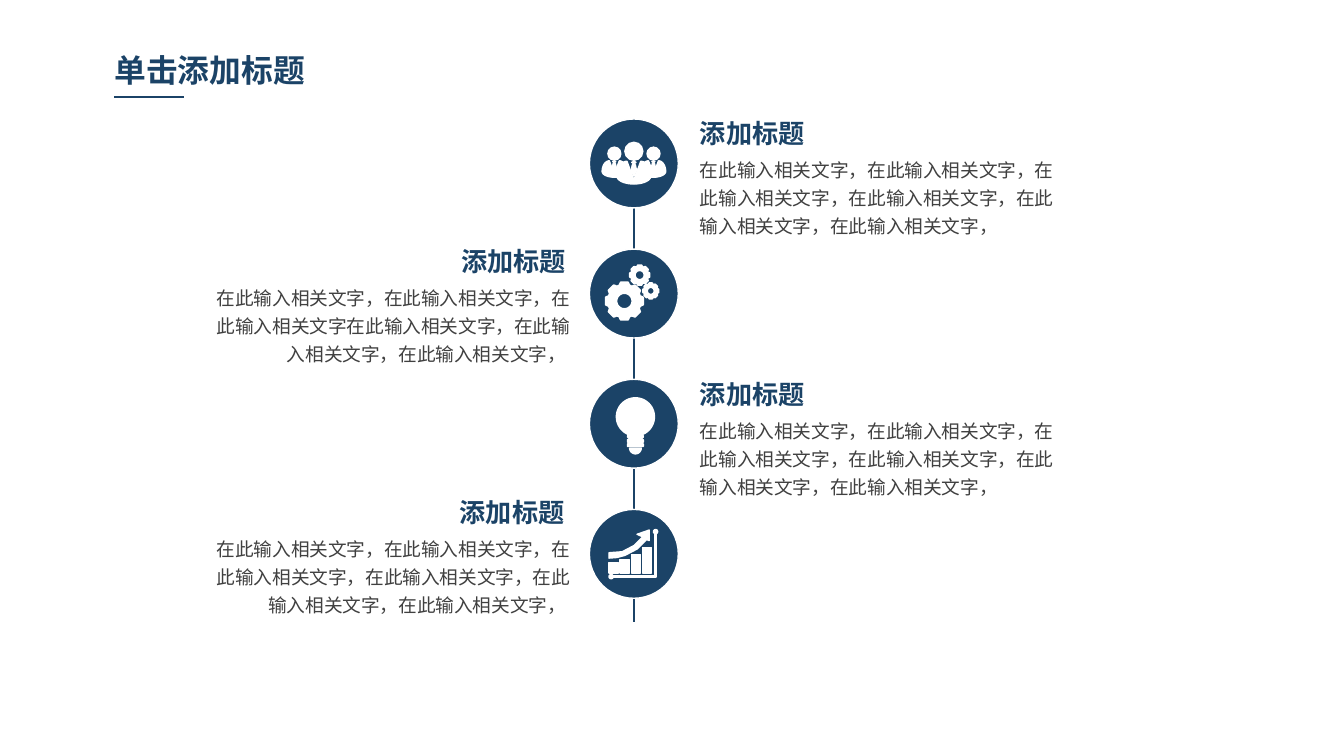
from math import cos, radians, sin

from lxml import etree
from pptx import Presentation
from pptx import util as u
from pptx.dml.color import RGBColor
from pptx.enum import shapes, text
from pptx.oxml.ns import qn

NAVY, GREY, WHITE = "1B4367", "404040", "FFFFFF"
FONT = "Noto Sans CJK SC"
PHRASE = "在此输入相关文字，"
AXIS_X, FIRST_Y, PITCH, RADIUS = 11.98, 3.09, 2.46, 0.84


def color(value):
    return RGBColor.from_string(value)


def write(frame, content, size=10, fill=GREY, bold=False, align=text.PP_ALIGN.LEFT, spacing=None):
    paragraph = frame.paragraphs[0]
    paragraph.alignment = align
    if spacing:
        paragraph.line_spacing = u.Pt(spacing)
    run = paragraph.add_run()
    run.text = content
    run.font.size = u.Pt(size)
    run.font.bold = bold
    run.font.name = FONT
    run.font.color.rgb = color(fill)
    etree.SubElement(run.font._element, qn("a:ea"), typeface=FONT)


def arc(x, y, rx, ry, start, end, steps=24):
    angles = [radians(start + (end - start) * i / steps) for i in range(steps + 1)]
    return [(x + rx * cos(a), y + ry * sin(a)) for a in angles]


class Deck:
    def __init__(self, slide):
        self.slide = slide
        self.canvas = slide.shapes
        self.origin = (0, 0)

    def begin_badge(self, x, y):
        self.canvas = self.slide.shapes.add_group_shape().shapes
        self.origin = (x, y)
        self.shape("OVAL", -RADIUS, -RADIUS, 2 * RADIUS, 2 * RADIUS, NAVY)

    def end_badge(self):
        self.canvas = self.slide.shapes
        self.origin = (0, 0)

    def place(self, x, y):
        return u.Cm(self.origin[0] + x), u.Cm(self.origin[1] + y)

    def paint(self, shape, fill, weight):
        shape.shadow.inherit = False
        shape.fill.solid()
        shape.fill.fore_color.rgb = color(fill)
        shape.line.color.rgb = color(WHITE)
        shape.line.width = u.Pt(weight)

    def shape(self, preset, x, y, width, height, fill=WHITE):
        kind = getattr(shapes.MSO_SHAPE, preset)
        shape = self.canvas.add_shape(kind, *self.place(x, y), u.Cm(width), u.Cm(height))
        self.paint(shape, fill, 0.75)

    def dot(self, x, y, radius):
        self.shape("OVAL", x - radius, y - radius, 2 * radius, 2 * radius)

    def outline(self, *contours, weight=0.75):
        builder = None
        for contour in contours:
            start, *others = [self.place(x, y) for x, y in contour]
            if builder is None:
                builder = self.canvas.build_freeform(*start)
            else:
                builder.move_to(*start)
            builder.add_line_segments(others, close=True)
        self.paint(builder.convert_to_shape(), WHITE, weight)

    def line(self, x1, y1, x2, y2):
        kind = shapes.MSO_CONNECTOR.STRAIGHT
        line = self.canvas.add_connector(kind, *self.place(x1, y1), *self.place(x2, y2))
        line.line.color.rgb = color(NAVY)
        line.line.width = u.Pt(0.75)
        etree.SubElement(line._element.spPr, qn("a:effectLst"))

    def textbox(self, x, y, width, height, content, inset=(0.25, 0.13), **style):
        box = self.canvas.add_textbox(*self.place(x, y), u.Cm(width), u.Cm(height))
        frame = box.text_frame
        frame.word_wrap = True
        frame.auto_size = text.MSO_AUTO_SIZE.SHAPE_TO_FIT_TEXT
        frame.margin_left = frame.margin_right = u.Cm(inset[0])
        frame.margin_top = frame.margin_bottom = u.Cm(inset[1])
        write(frame, content, **style)


def person(deck, x, y, scale):
    def scaled(points):
        return [(x + scale * px, y + scale * py) for px, py in points]

    deck.dot(x, y - 0.23 * scale, 0.17 * scale)
    deck.outline(scaled(
        arc(0.13, 0.24, 0.19, 0.28, -90, 0)
        + arc(0, 0.24, 0.32, 0.15, 0, 180)
        + arc(-0.13, 0.24, 0.19, 0.28, 180, 270)
        + [(0, 0.31)]))
    deck.outline(scaled([(0, -0.04), (0.04, -0.02), (0, 0.01), (-0.04, -0.02)]))
    deck.outline(scaled([(0.03, 0.03), (0, 0.01), (-0.03, 0.03),
                         (-0.05, 0.13), (0, 0.24), (0.05, 0.13)]))


def team(deck):
    for x, y, scale in ((0, 0, 1), (0.37, -0.02, 0.72), (-0.37, -0.02, 0.72)):
        person(deck, x, y, scale)


def gears(deck):
    profile = ((-18, 0.86), (-11, 1), (11, 1), (18, 0.86))
    for x, y, radius, hole in ((-0.18, 0.14, 0.36, 0.15), (0.11, -0.35, 0.19, 0.09),
                               (0.32, -0.05, 0.15, 0.07)):
        teeth = [(x + radius * r * cos(radians(45 * i + a)),
                  y + radius * r * sin(radians(45 * i + a)))
                 for i in range(8) for a, r in profile]
        deck.outline(teeth, arc(x, y, hole, hole, 360, 0), weight=1)


def bulb(deck):
    deck.outline(arc(0.03, -0.13, 0.36, 0.36, 113, 427, 48)
                 + [(0.18, 0.25), (0.15, 0.28), (-0.09, 0.28), (-0.12, 0.25)])
    for y in (0.3, 0.38):
        deck.shape("ROUNDED_RECTANGLE", -0.12, y, 0.3, 0.05)
    deck.outline(arc(0.03, 0.46, 0.11, 0.11, 0, 180))


def growth(deck):
    deck.outline([(0.29, -0.25), (0.29, -0.45), (0.06, -0.37), (0.17, -0.32),
                  (0.01, -0.16), (-0.22, -0.04), (-0.47, -0.02), (-0.47, 0.08),
                  (-0.32, 0.07), (-0.17, 0.03), (0.06, -0.09), (0.24, -0.27)])
    for i, top in enumerate((0.16, 0.11, 0.01, -0.12)):
        deck.shape("RECTANGLE", -0.47 + 0.21 * i, top, 0.18, 0.36 - top)
    deck.outline([(0.39, -0.42), (0.42, -0.42), (0.42, 0.44),
                  (-0.44, 0.44), (-0.44, 0.41), (0.39, 0.41)])
    deck.dot(0.41, -0.42, 0.04)
    deck.dot(-0.43, 0.43, 0.04)


presentation = Presentation()
presentation.slide_width, presentation.slide_height = u.Cm(25.4), u.Cm(14.29)
slide = presentation.slides.add_slide(presentation.slide_layouts[6])
deck = Deck(slide)

deck.textbox(1.98, 0.86, 6.27, 0.91, "单击添加标题", inset=(0.18, 0.1),
             size=17, fill=NAVY, bold=True)
deck.line(2.16, 1.83, 3.48, 1.83)
deck.line(AXIS_X, 2.44, AXIS_X, 11.76)

LEFT, RIGHT = text.PP_ALIGN.LEFT, text.PP_ALIGN.RIGHT
BODY = PHRASE * 6 + " "
SHORT_BODY = PHRASE * 2 + PHRASE[:-1] + PHRASE * 3 + " "
steps = [
    (team, 2.16, 12.98, 4.01, 12.98, LEFT, BODY),
    (gears, 4.57, 7.26, 3.69, 3.53, RIGHT, SHORT_BODY),
    (bulb, 7.09, 12.98, 4.34, 12.98, LEFT, BODY),
    (growth, 9.32, 7.06, 3.86, 3.53, RIGHT, BODY),
]
for i, (icon, top, title_x, title_width, body_x, align, body) in enumerate(steps):
    deck.begin_badge(AXIS_X, FIRST_Y + PITCH * i)
    icon(deck)
    deck.end_badge()
    deck.textbox(body_x, top + 0.61, 7.49, 1.85, body, align=align, spacing=15)
    deck.textbox(title_x, top, title_width, 0.79, "添加标题",
                 size=14, fill=NAVY, bold=True, align=align, spacing=15)

presentation.save("out.pptx")
